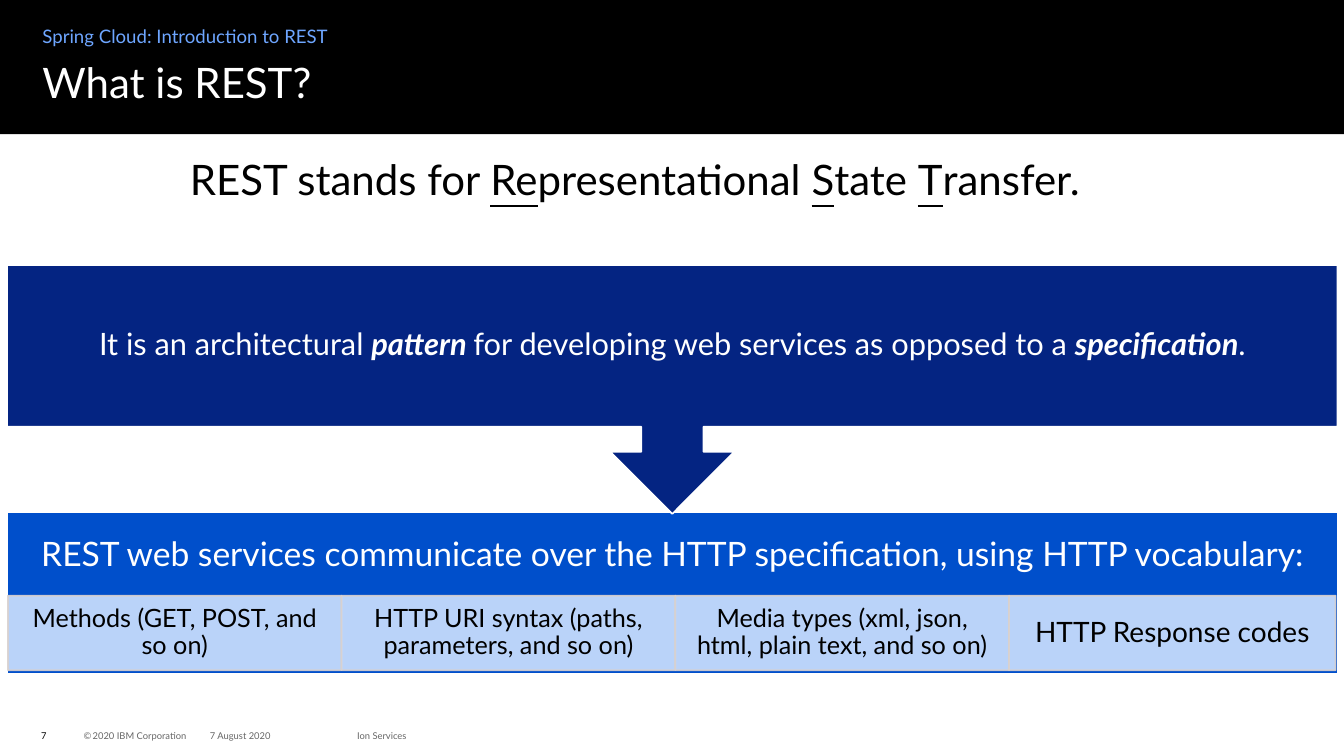
from lxml.etree import SubElement
from pptx import Presentation
from pptx.dml.color import RGBColor
from pptx.enum.shapes import MSO_SHAPE as Geo
from pptx.enum.text import MSO_ANCHOR as Anchor, MSO_AUTO_SIZE as Auto, PP_ALIGN as Align
from pptx.oxml.ns import qn
from pptx.util import Cm, Pt

HUES = {
    "black": "000000", "white": "FFFFFF", "sky": "6EA6FF", "navy": "042482",
    "blue": "004FCB", "pale": "CFE2FF", "edge": "D9D1CF", "gray": "666666",
}


def hue(name):
    return RGBColor.from_string(HUES[name])


def write(shape, runs, size, color, pad=(0, 0, 0, 0),
          align=Align.LEFT, anchor=Anchor.TOP, lead=None):
    """Fill a shape with one paragraph; runs are (text, font settings)."""
    frame = shape.text_frame
    frame.word_wrap, frame.auto_size = True, Auto.NONE
    frame.vertical_anchor = anchor
    (frame.margin_left, frame.margin_top,
     frame.margin_right, frame.margin_bottom) = [Cm(n) for n in pad]
    para = frame.paragraphs[0]
    para.alignment, para.line_spacing = align, lead
    font = para.font
    font.size, font.name = Pt(size), "Lato"
    font.color.rgb = hue(color)
    for text, marks in runs:
        run = para.add_run()
        run.text = text
        for key, value in marks.items():
            setattr(run.font, key, value)


def label(slide, box, runs, size, color, **look):
    shape = slide.shapes.add_textbox(*[Cm(n) for n in box])
    write(shape, runs, size, color, **look)


def block(slide, box, fill, geo=Geo.RECTANGLE, line=None, alpha=None):
    shape = slide.shapes.add_shape(geo, *[Cm(n) for n in box])
    shape.shadow.inherit = False
    shape.fill.solid()
    shape.fill.fore_color.rgb = hue(fill)
    if line:
        shape.line.color.rgb = hue(line)
        shape.line.width = Pt(1.25)
    else:
        shape.line.fill.background()
    if alpha:
        for tint in shape.element.spPr.iter(qn("a:srgbClr")):
            SubElement(tint, qn("a:alpha")).set("val", str(alpha * 1000))
    return shape


def header(slide, box):
    x, y, w, h = box
    title = slide.shapes.title
    title.element.addprevious(block(slide, box, "black").element)
    label(slide, (x + 1.07, y + 0.61, 15.24, 0.64),
          [("Spring Cloud: Introduction to REST", {})], 13.3, "sky", lead=1.05)
    title.left, title.top = Cm(x + 1.07), Cm(y + 1.57)
    title.width, title.height = Cm(w - 2.12), Cm(h - 1.57)
    write(title, [("What is REST?", {})], 30, "white", lead=0.9)


def motto(slide, box):
    under = {"underline": True}
    runs = [("REST stands for ", {}), ("Re", under), ("presentational ", {}),
            ("S", under), ("tate ", {}), ("T", under), ("ransfer.", {})]
    label(slide, box, runs, 30, "black",
          pad=(0.25, 0.13, 0.25, 0.13), align=Align.CENTER)


def panel(slide, box):
    """Blue bar with a row of pale cells along its foot."""
    x, y, w, h = box
    high, wide, last = 1.88, 8.41, 8.23
    bar = block(slide, box, "blue", line="white")
    write(bar, [("REST web services communicate over the HTTP specification, "
                 "using HTTP vocabulary:", {})], 24, "white",
          pad=(0.48, 0.48, 0.48, h - 2.21 + 0.48),
          align=Align.CENTER, anchor=Anchor.MIDDLE, lead=0.9)
    cells = [("Methods (GET, POST, and so on)", wide, 18),
             ("HTTP URI syntax (paths, parameters, and so on)", wide, 18),
             ("Media types (xml, json, html, plain text, and so on)", wide, 18),
             ("HTTP Response codes", last, 20)]
    for i, (text, width, size) in enumerate(cells):
        spot = (x + 0.02 + i * wide, y + h - high - 0.1, width, high)
        cell = block(slide, spot, "pale", line="edge", alpha=90)
        write(cell, [(text, {})], size, "black", pad=(0.36, 0.08, 0.36, 0.08),
              align=Align.CENTER, anchor=Anchor.MIDDLE, lead=0.9)


def callout(slide, box):
    strong = {"bold": True, "italic": True}
    shape = block(slide, box, "navy", Geo.DOWN_ARROW_CALLOUT, "white")
    runs = [("It is an architectural ", {}), ("pattern ", strong),
            ("for developing web services as opposed to a ", {}),
            ("specification", strong), (".", {})]
    write(shape, runs, 22, "white", pad=(0.43,) * 4,
          align=Align.CENTER, anchor=Anchor.MIDDLE, lead=0.9)


def footer(slide, box):
    x, y, w, h = box
    owner = [("©", {}), (" ", {"size": Pt(3.3)}), ("2020 IBM Corporation", {})]
    parts = [(0, 0.76, [("7", {})], "black"),
             (1.07, 3, owner, "gray"),
             (4.25, 3.1, [("7 August 2020", {})], "gray"),
             (7.96, 5.28, [("Ion Services", {})], "gray")]
    for left, width, runs, color in parts:
        label(slide, (x + left, y, width, h), runs, 6.7, color,
              anchor=Anchor.MIDDLE)


def main():
    deck = Presentation()
    deck.slide_width, deck.slide_height = Cm(33.87), Cm(19.05)
    slide = deck.slides.add_slide(deck.slide_layouts[5])
    header(slide, (0, 0, 33.87, 3.38))
    motto(slide, (1.88, 3.73, 28.24, 1.55))
    panel(slide, (0.18, 12.9, 33.53, 4.09))
    callout(slide, (0.18, 6.68, 33.53, 6.27))
    footer(slide, (1.04, 18.28, 13.24, 0.51))
    deck.save("out.pptx")


if __name__ == "__main__":
    main()
